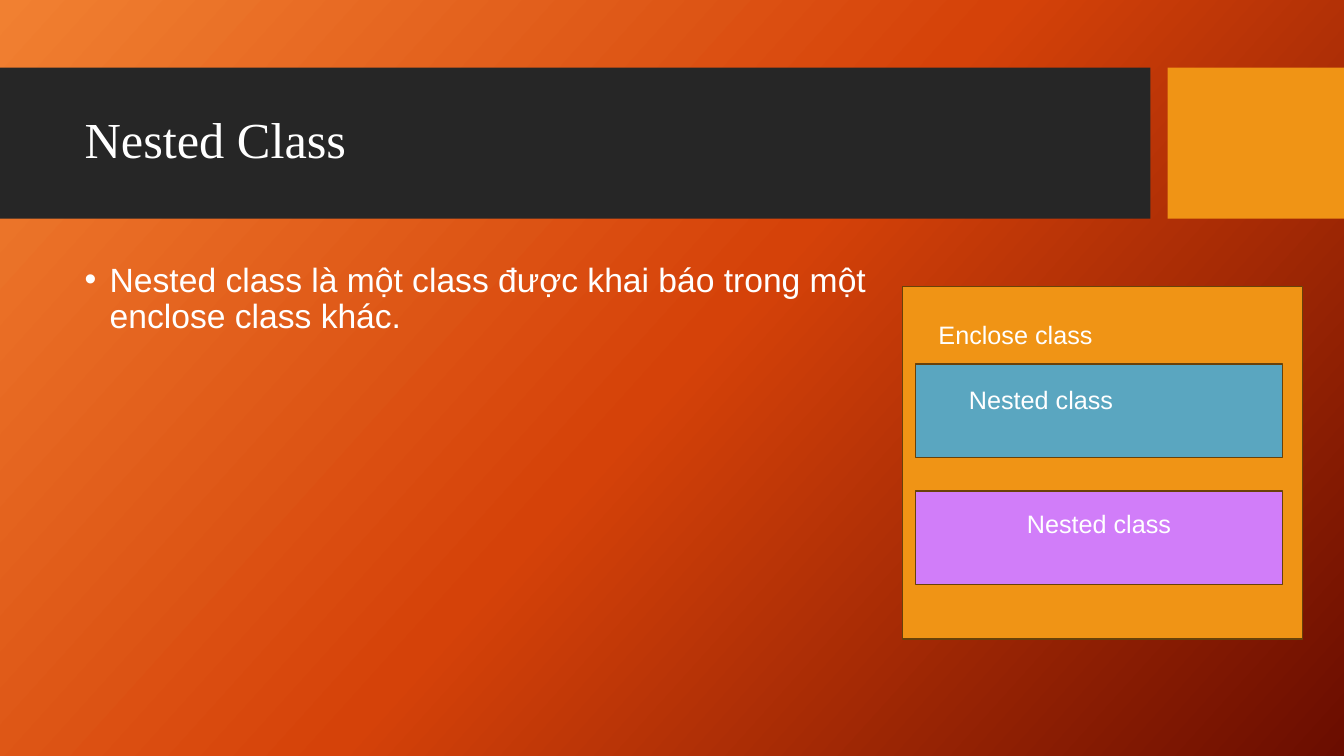
from copy import deepcopy
from dataclasses import dataclass

from lxml.etree import SubElement
from pptx import Presentation
from pptx.dml.color import RGBColor
from pptx.enum.shapes import MSO_SHAPE
from pptx.enum.text import MSO_ANCHOR, PP_ALIGN
from pptx.oxml.ns import qn
from pptx.util import Inches, Pt

TITLE = "Nested Class"
DEFINITION = "Nested\u00a0class là một class được khai báo trong một enclose class khác."
ENCLOSE_LABEL = "Enclose class"
NESTED_LABELS = ("Nested class", "Nested\u00a0class")


@dataclass(frozen=True)
class Theme:
    """Colours, fonts and type sizes of the slide."""
    gradient: tuple = ((0, "F18031"), (0.5, "D54209"), (1, "6A0D00"))
    band: str = "262626"
    accent: str = "F09415"
    nested: tuple = ("5AA6C0", "D17DF9")
    outline: str = "694109"
    text: str = "FFFFFF"
    title_font: str = "Times New Roman"
    body_font: str = "Arial"
    title_size: int = 36
    body_size: int = 24
    label_size: int = 18


THEME = Theme()


def paint_background(slide):
    """Fill the slide with the diagonal three-stop gradient."""
    fill = slide.background.fill
    fill.gradient()
    fill.gradient_angle = 360 - 42
    stop_list = slide.element.xpath(".//a:gsLst")[0]
    stop_list.insert(1, deepcopy(stop_list[0]))
    for stop, (position, colour) in zip(fill.gradient_stops, THEME.gradient):
        stop.position = position
        stop.color.rgb = RGBColor.from_string(colour)


def add_box(slide, place, colour, outlined=False):
    """Add a flat rectangle, with a thin outline if asked."""
    box = slide.shapes.add_shape(MSO_SHAPE.RECTANGLE, *map(Inches, place))
    box.shadow.inherit = False
    box.fill.solid()
    box.fill.fore_color.rgb = RGBColor.from_string(colour)
    if outlined:
        box.line.color.rgb = RGBColor.from_string(THEME.outline)
        box.line.width = Pt(1)
    else:
        box.line.fill.background()
    return box


def write(shape, words, size, font=THEME.body_font):
    """Put one formatted paragraph in a shape and return it."""
    shape.text_frame.word_wrap = True
    paragraph = shape.text_frame.paragraphs[0]
    paragraph.text = words
    for run in paragraph.runs:
        run.font.size = Pt(size)
        run.font.name = font
        run.font.color.rgb = RGBColor.from_string(THEME.text)
    return paragraph


def add_text(slide, place, words, size, font=THEME.body_font):
    """Add a text box and return it with its paragraph."""
    text_box = slide.shapes.add_textbox(*map(Inches, place))
    return text_box, write(text_box, words, size, font)


def add_bullet(paragraph):
    """Give a paragraph a hanging round bullet."""
    properties = paragraph._p.get_or_add_pPr()
    properties.set("marL", str(Inches(0.25)))
    properties.set("indent", str(-Inches(0.25)))
    SubElement(properties, qn("a:buFont")).set("typeface", THEME.body_font)
    SubElement(properties, qn("a:buChar")).set("char", "•")


def add_header(slide):
    """Draw the title band and its accent block."""
    add_box(slide, (0, 0.67, 11.41, 1.5), THEME.band)
    add_box(slide, (11.58, 0.67, 1.75, 1.5), THEME.accent)
    title, paragraph = add_text(slide, (0.74, 0.82, 10.51, 1.18), TITLE,
                                THEME.title_size, THEME.title_font)
    title.text_frame.vertical_anchor = MSO_ANCHOR.MIDDLE
    paragraph.line_spacing = 0.9


def add_definition(slide):
    """Write the bulleted definition."""
    _, paragraph = add_text(slide, (0.74, 2.56, 8.06, 3.94), DEFINITION, THEME.body_size)
    paragraph.line_spacing = 0.9
    paragraph.space_before = Pt(10)
    add_bullet(paragraph)


def add_class_diagram(slide):
    """Draw the enclosing class with its two nested classes."""
    add_box(slide, (8.95, 2.84, 3.97, 3.5), THEME.accent, outlined=True)
    first, second = [
        add_box(slide, (9.08, 3.61 + 1.26 * row, 3.64, 0.93), colour, outlined=True)
        for row, colour in enumerate(THEME.nested)
    ]
    add_text(slide, (9.21, 3.12, 3, 0.71), ENCLOSE_LABEL, THEME.label_size)
    label = write(first, NESTED_LABELS[0], THEME.label_size)
    label.alignment = PP_ALIGN.LEFT
    first.text_frame.vertical_anchor = MSO_ANCHOR.TOP
    first.text_frame.margin_left = Inches(0.53)
    first.text_frame.margin_top = Inches(0.2)
    label = write(second, NESTED_LABELS[1], THEME.label_size)
    label.alignment = PP_ALIGN.CENTER
    second.text_frame.vertical_anchor = MSO_ANCHOR.MIDDLE
    second.text_frame.margin_bottom = Inches(0.34)


presentation = Presentation()
presentation.slide_width = Inches(13.33)
presentation.slide_height = Inches(7.5)
nested_class_slide = presentation.slides.add_slide(presentation.slide_layouts[6])
paint_background(nested_class_slide)
add_header(nested_class_slide)
add_definition(nested_class_slide)
add_class_diagram(nested_class_slide)
presentation.save("out.pptx")
